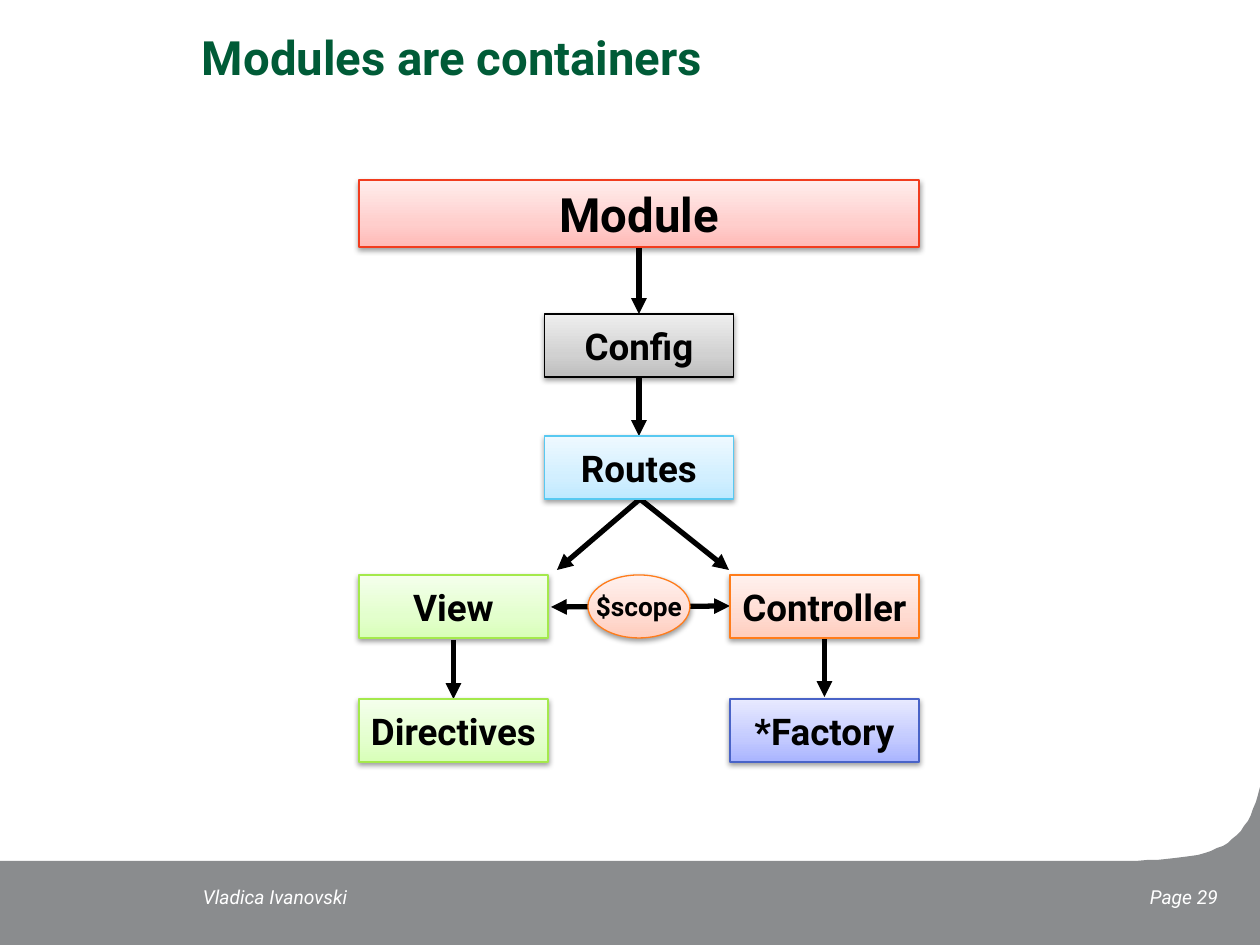
import copy
from dataclasses import dataclass

import pptx
import pptx.util
import pptx.dml.color
import pptx.enum.shapes
import pptx.enum.text
import pptx.oxml
import pptx.oxml.ns

PX = 914400 / 126
SHAPE = pptx.enum.shapes.MSO_SHAPE
ALIGN = pptx.enum.text.PP_ALIGN
ANCHOR = pptx.enum.text.MSO_ANCHOR


@dataclass(frozen=True)
class Theme:
    font: str = "Roboto"
    title: str = "005B37"
    ink: str = "000000"
    footer: str = "8A8C8E"
    footer_text: str = "FFFFFF"
    head_size: int = 27
    box_size: int = 21
    scope_size: int = 15
    footer_size: int = 11
    arrow_width: int = 3
    outline_width: float = 0.75


THEME = Theme()
PALETTE = {
    "red": ("F13C1E", "FFBAB7", "FFCECC", "FFEDEC"),
    "gray": ("000000", "BDBDBD", "D1D1D1", "EEEEEE"),
    "cyan": ("58C9F1", "BFE9FF", "D2EFFF", "EEF9FF"),
    "green": ("A4E94C", "D8FFB8", "E3FFCD", "F4FFEC"),
    "orange": ("FF7C1B", "FFCDBD", "FFDBD1", "FFF1EE"),
    "blue": ("4963C7", "A9B4FF", "C2C9FF", "E8EAFF"),
}
STOPS = (0, 0.35, 1)
SHADOW = (
    f'<a:outerShdw {pptx.oxml.ns.nsdecls("a")} blurRad="40000" dist="20000" '
    'dir="5400000" rotWithShape="0"><a:srgbClr val="000000">'
    '<a:alpha val="38000"/></a:srgbClr></a:outerShdw>'
)


def px(*lengths):
    return [pptx.util.Emu(round(n * PX)) for n in lengths]


def rgb(value):
    return pptx.dml.color.RGBColor.from_string(value)


def write(tf, text, color, align, **font):
    p = tf.paragraphs[0]
    p.alignment = align
    r = p.add_run()
    r.text = text
    r.font.color.rgb = rgb(color)
    font["size"] = pptx.util.Pt(font["size"])
    for name, value in {"name": THEME.font, **font}.items():
        setattr(r.font, name, value)
    return p


def set_frame(tf, anchor, wrap):
    values = {"vertical_anchor": anchor, "word_wrap": wrap,
              "auto_size": pptx.enum.text.MSO_AUTO_SIZE.NONE}
    for side in ("left", "top", "right", "bottom"):
        values[f"margin_{side}"] = 0
    for name, value in values.items():
        setattr(tf, name, value)


def add_node(s, box, text, color, size=THEME.box_size, kind=SHAPE.RECTANGLE):
    sp = s.shapes.add_shape(kind, *px(*box))
    line, *tints = PALETTE[color]
    sp.fill.gradient()
    sp.fill.gradient_angle = 90
    first = sp._element.spPr.find(".//" + pptx.oxml.ns.qn("a:gs"))
    first.addnext(copy.deepcopy(first))
    for stop, position, tint in zip(sp.fill.gradient_stops, STOPS, tints):
        stop.position = position
        stop.color.rgb = rgb(tint)
    sp.line.color.rgb = rgb(line)
    sp.line.width = pptx.util.Pt(THEME.outline_width)
    sp.shadow.inherit = False
    effects = sp._element.spPr.find(pptx.oxml.ns.qn("a:effectLst"))
    effects.append(pptx.oxml.parse_xml(SHADOW))
    set_frame(sp.text_frame, ANCHOR.MIDDLE, False)
    write(sp.text_frame, text, THEME.ink, ALIGN.CENTER, size=size, bold=True)


def add_arrow(s, start, end, ends=("tailEnd",)):
    cn = s.shapes.add_connector(
        pptx.enum.shapes.MSO_CONNECTOR.STRAIGHT, *px(*start, *end))
    cn.line.color.rgb = rgb(THEME.ink)
    cn.line.width = pptx.util.Pt(THEME.arrow_width)
    ln = cn.line._get_or_add_ln()
    ns = pptx.oxml.ns.nsdecls("a")
    for tag in ends:
        ln.append(pptx.oxml.parse_xml(f'<a:{tag} {ns} type="triangle"/>'))
    cn._element.spPr.append(pptx.oxml.parse_xml(f"<a:effectLst {ns}/>"))


def add_title(s, box, text):
    sp = s.shapes.title
    sp.left, sp.top, sp.width, sp.height = px(*box)
    set_frame(sp.text_frame, ANCHOR.TOP, True)
    p = write(sp.text_frame, text, THEME.title, ALIGN.LEFT,
              size=THEME.head_size, bold=True)
    p.line_spacing = 0.8


def add_diagram(s, box):
    x, y, w, h = box
    node_w, node_h, module_h = 189, 63, 67
    left, mid, right = (x + i * (w - node_w) / 2 for i in range(3))
    config, routes, view = y + 134, y + 256, y + 395
    last = y + h - node_h
    center, half = x + w / 2, node_w / 2
    fork = routes + node_h

    arrows = [
        ((center, y + module_h), (center, config)),
        ((center, config + node_h), (center, routes)),
        ((center + 1, fork), (left + node_w + 9, view - 5)),
        ((center + 1, fork), (right - 1, view - 5)),
        ((left + half, view + node_h + 2), (left + half, last)),
        ((right + half, view + node_h), (right + half, last - 2)),
    ]
    for start, end in arrows:
        add_arrow(s, start, end)
    add_arrow(s, (right, view + 31), (left + node_w + 3, view + 32),
              ("headEnd", "tailEnd"))

    add_node(s, (x, y, w, module_h), "Module", "red", THEME.head_size)
    nodes = [
        (mid, config, "Config", "gray"),
        (mid, routes, "Routes", "cyan"),
        (left, view, "View", "green"),
        (right, view, "Controller", "orange"),
        (left, last, "Directives", "green"),
        (right, last, "*Factory", "blue"),
    ]
    for nx, ny, text, color in nodes:
        add_node(s, (nx, ny, node_w, node_h), text, color)
    add_node(s, (center - 51, view, 102, node_h), "$scope", "orange",
             THEME.scope_size, SHAPE.OVAL)


def bezier(points, steps=24):
    for i in range(1, steps + 1):
        t = i / steps
        weights = ((1 - t) ** 3, 3 * t * (1 - t) ** 2, 3 * t * t * (1 - t), t ** 3)
        yield tuple(sum(k * c for k, c in zip(weights, axis))
                    for axis in zip(*points))


def add_footer(s, box, author, page):
    x, y, w, h = box
    edge = y + 74
    curve = [(x + w - 147, edge), (x + w - 50, edge - 1),
             (x + w - 15, y + 66), (x + w, y)]
    outline = [curve[0], *bezier(curve), (x + w, y + h), (x, y + h)]
    fb = s.shapes.build_freeform(x, edge, scale=PX)
    fb.add_line_segments(outline, close=True)
    sp = fb.convert_to_shape()
    sp.fill.solid()
    sp.fill.fore_color.rgb = rgb(THEME.footer)
    sp.line.fill.background()
    sp.shadow.inherit = False

    labels = [(203, 409, author, ALIGN.LEFT), (896, 322, page, ALIGN.RIGHT)]
    for lx, lw, text, align in labels:
        tb = s.shapes.add_textbox(*px(x + lx, y + 98, lw, 25))
        set_frame(tb.text_frame, ANCHOR.TOP, True)
        write(tb.text_frame, text, THEME.footer_text, align,
              size=THEME.footer_size, italic=True)


def main():
    prs = pptx.Presentation()
    prs.slide_width, prs.slide_height = px(1260, 945)
    s = prs.slides.add_slide(prs.slide_layouts[5])
    add_footer(s, (0, 787, 1260, 158), "Vladica Ivanovski", "Page 29")
    add_diagram(s, (359, 180, 560, 582))
    add_title(s, (202, 39, 1018, 140), "Modules are containers")
    prs.save("out.pptx")


if __name__ == "__main__":
    main()
